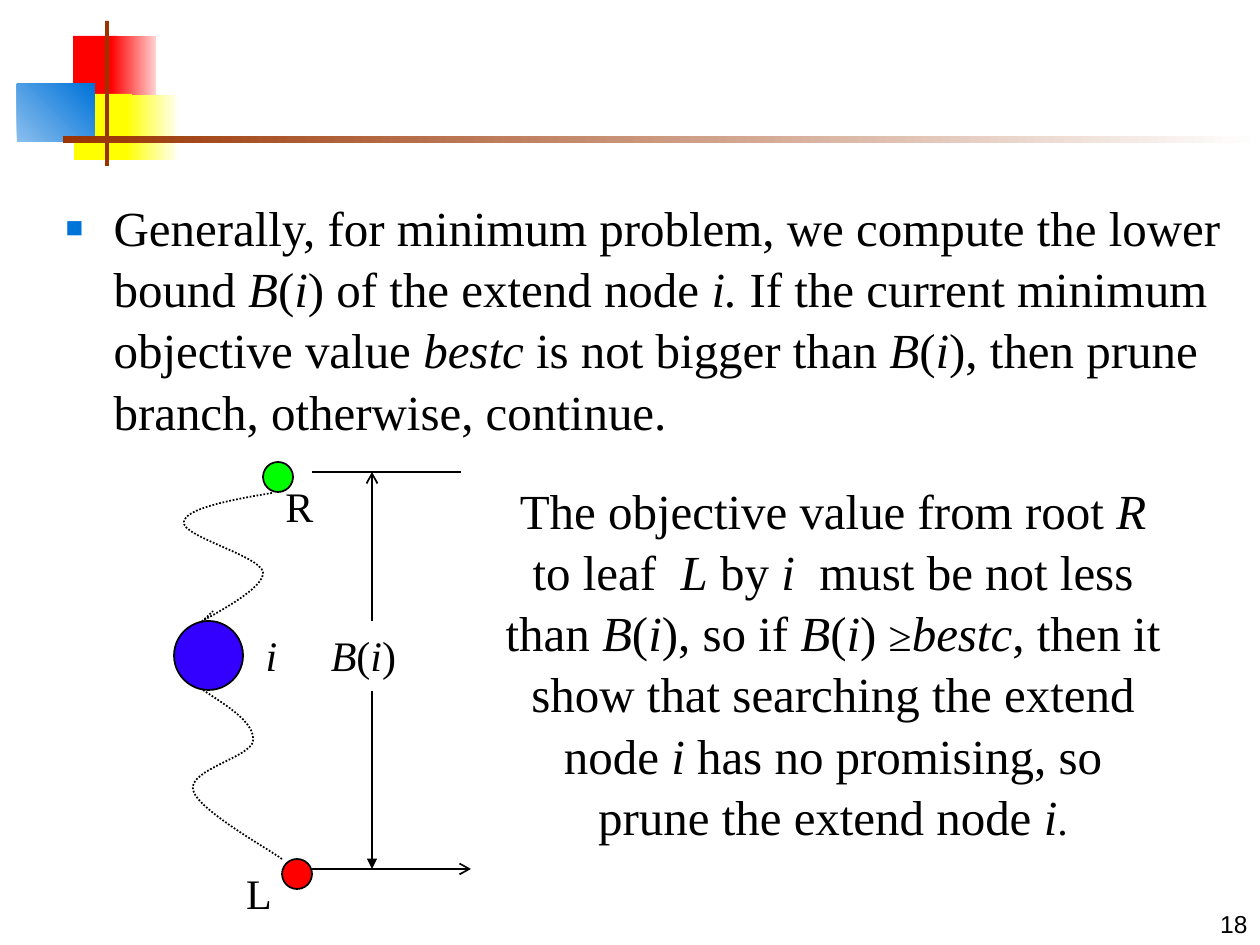
from lxml import etree
from pptx import Presentation
from pptx import util as u
from pptx.dml.color import RGBColor
from pptx.enum import dml, shapes, text
from pptx.oxml import ns

HUES = {
    "black": "000000", "red": "FF0000", "pink": "FFD1D1", "yellow": "FFFF00",
    "cream": "FFFFF0", "sky": "8BBFEE", "blue": "0073D9", "brown": "993300",
    "white": "FFFFFF", "green": "00FF00", "indigo": "3300FF",
}
SERIF = "Times New Roman"


def px(n):
    """Turn px into EMU at 126 px to the inch."""
    return u.Emu(round(n * 914400 / 126))


def hue(name):
    """Look up a colour by name."""
    return RGBColor.from_string(HUES[name])


def sub(node, tag, **attrs):
    """Append an XML child with attributes."""
    return etree.SubElement(node, ns.qn(tag), attrs)


def ink(line, dash=None):
    """Give a line the thin black pen."""
    line.color.rgb = hue("black")
    line.width = u.Pt(1)
    if dash:
        line.dash_style = dash


def block(slide, box, start, end=None, angle=0):
    """Draw a borderless bar in one colour or a two-colour gradient."""
    item = slide.shapes.add_shape(shapes.MSO_SHAPE.RECTANGLE, *map(px, box))
    item.shadow.inherit = False
    item.line.fill.background()
    if end:
        item.fill.gradient()
        item.fill.gradient_angle = angle
        for stop, name in zip(item.fill.gradient_stops, (start, end)):
            stop.color.rgb = hue(name)
    else:
        item.fill.solid()
        item.fill.fore_color.rgb = hue(start)


def node(slide, x, y, size, name):
    """Draw a round tree node."""
    item = slide.shapes.add_shape(
        shapes.MSO_SHAPE.OVAL, px(x), px(y), px(size), px(size))
    item.shadow.inherit = False
    item.fill.solid()
    item.fill.fore_color.rgb = hue(name)
    ink(item.line)


def curve(slide, points):
    """Draw a dotted Bezier path from a start and control point triples."""
    start, *rest = [(px(x), px(y)) for x, y in points]
    maker = slide.shapes.build_freeform(*start)
    maker.add_line_segments(rest, close=False)
    item = maker.convert_to_shape()
    item.shadow.inherit = False
    item.fill.background()
    ink(item.line, dml.MSO_LINE.ROUND_DOT)
    route = item.element.find(".//" + ns.qn("a:path"))
    legs = route.findall(ns.qn("a:lnTo"))
    for i in range(0, len(legs), 3):
        bend = sub(route, "a:cubicBezTo")
        for leg in legs[i:i + 3]:
            bend.append(leg[0])
            route.remove(leg)


def rule(slide, x1, y1, x2, y2, head=None):
    """Draw a straight line with an optional arrowhead at its end."""
    item = slide.shapes.add_connector(
        shapes.MSO_CONNECTOR.STRAIGHT, *map(px, (x1, y1, x2, y2)))
    ink(item.line)
    if head:
        sub(item.line._get_or_add_ln(), "a:tailEnd", type=head)
    sub(item.element.spPr, "a:effectLst")


def write(frame, words, size=24, font=SERIF, align="CENTER", anchor="TOP",
          wrap=True, space=1.04):
    """Write text where *stars* mark italics and ^carets^ mark 24 pt."""
    frame.word_wrap = wrap
    frame.auto_size = text.MSO_AUTO_SIZE.NONE
    frame.vertical_anchor = text.MSO_ANCHOR[anchor]
    para = frame.paragraphs[0]
    para.alignment = text.PP_ALIGN[align]
    para.line_spacing = space
    for i, part in enumerate(words.split("*")):
        for j, piece in enumerate(part.split("^")):
            if piece:
                run = para.add_run()
                run.text = piece
                run.font.name = font
                run.font.size = u.Pt(24 if j % 2 else size)
                run.font.italic = i % 2 == 1
                run.font.color.rgb = hue("black")
    return para


def label(slide, box, words, **form):
    """Add a text box."""
    item = slide.shapes.add_textbox(*map(px, box))
    write(item.text_frame, words, **form)


def bullet(slide, box, words):
    """Fill the body placeholder with one square-bulleted paragraph."""
    body = slide.placeholders[1]
    body.left, body.top, body.width, body.height = map(px, box)
    para = write(body.text_frame, words, size=28, align="LEFT")
    para.space_before = u.Pt(7)
    props = para._p.get_or_add_pPr()
    props.set("marL", str(px(48)))
    props.set("indent", str(px(-48)))
    sub(sub(props, "a:buClr"), "a:srgbClr", val=HUES["blue"])
    sub(props, "a:buSzPct", val="60000")
    sub(props, "a:buFont", typeface="Arial")
    sub(props, "a:buChar", char="■")


def decor(slide):
    """Draw the coloured corner blocks and the crossing bars."""
    block(slide, (73, 36, 44, 65), "red")
    block(slide, (111, 36, 45, 65), "red", "pink")
    block(slide, (74, 94, 58, 66), "yellow")
    block(slide, (126, 95, 51, 65), "yellow", "cream")
    block(slide, (17, 84, 78, 58), "sky", "blue", angle=45)
    block(slide, (105, 21, 4, 145), "brown")
    block(slide, (63, 136, 1197, 7), "brown", "white")


def tree(slide):
    """Draw the path from root to leaf with its bound."""
    node(slide, 263, 462, 30, "green")
    node(slide, 174, 621, 69, "indigo")
    node(slide, 282, 859, 30, "red")
    curve(slide, [(272, 493), (229, 500), (185, 509), (184, 522),
                  (181, 536), (260, 556), (263, 572),
                  (266, 588), (212, 615), (203, 621),
                  (195, 627), (213, 612), (213, 611)])
    curve(slide, [(203, 690), (229, 707), (255, 723), (253, 741),
                  (251, 757), (188, 770), (193, 790),
                  (198, 810), (267, 848), (282, 859)])
    rule(slide, 312, 472, 461, 472)
    rule(slide, 312, 869, 471, 869, "arrow")
    rule(slide, 372, 621, 372, 472, "arrow")
    rule(slide, 372, 691, 372, 869, "triangle")
    for x, y, wide, words in ((253, 621, 37, "*i*"), (318, 621, 91, "*B*(*i*)"),
                              (273, 472, 53, "R"), (234, 859, 50, "L")):
        label(slide, (x, y, wide, 63), words, wrap=False)


def main():
    """Build and save the slide."""
    deck = Presentation()
    deck.slide_width, deck.slide_height = px(1260), px(945)
    slide = deck.slides.add_slide(deck.slide_layouts[1])
    title = slide.shapes.title.element
    title.getparent().remove(title)
    decor(slide)
    bullet(slide, (53, 189, 1182, 656),
           "Generally, for minimum problem, we compute the lower bound "
           "*B*(*i*) of the extend node *i. *If the current minimum objective "
           "value *bestc* is not bigger than *B*(*i*), then prune branch, "
           "otherwise, continue.")
    tree(slide)
    label(slide, (491, 472, 684, 365),
          "The objective value from root *R* to leaf  *L* by* i*  must be not "
          "less than *B*(*i*), so if *B*(*i*) ^≥^*bestc*, then it show that "
          "searching the extend node *i* has no promising, so prune the "
          "extend node *i*^.^", size=28)
    label(slide, (998, 882, 262, 63), "18", size=14, font="Arial",
          align="RIGHT", anchor="BOTTOM", space=1.0)
    deck.save("out.pptx")


if __name__ == "__main__":
    main()
